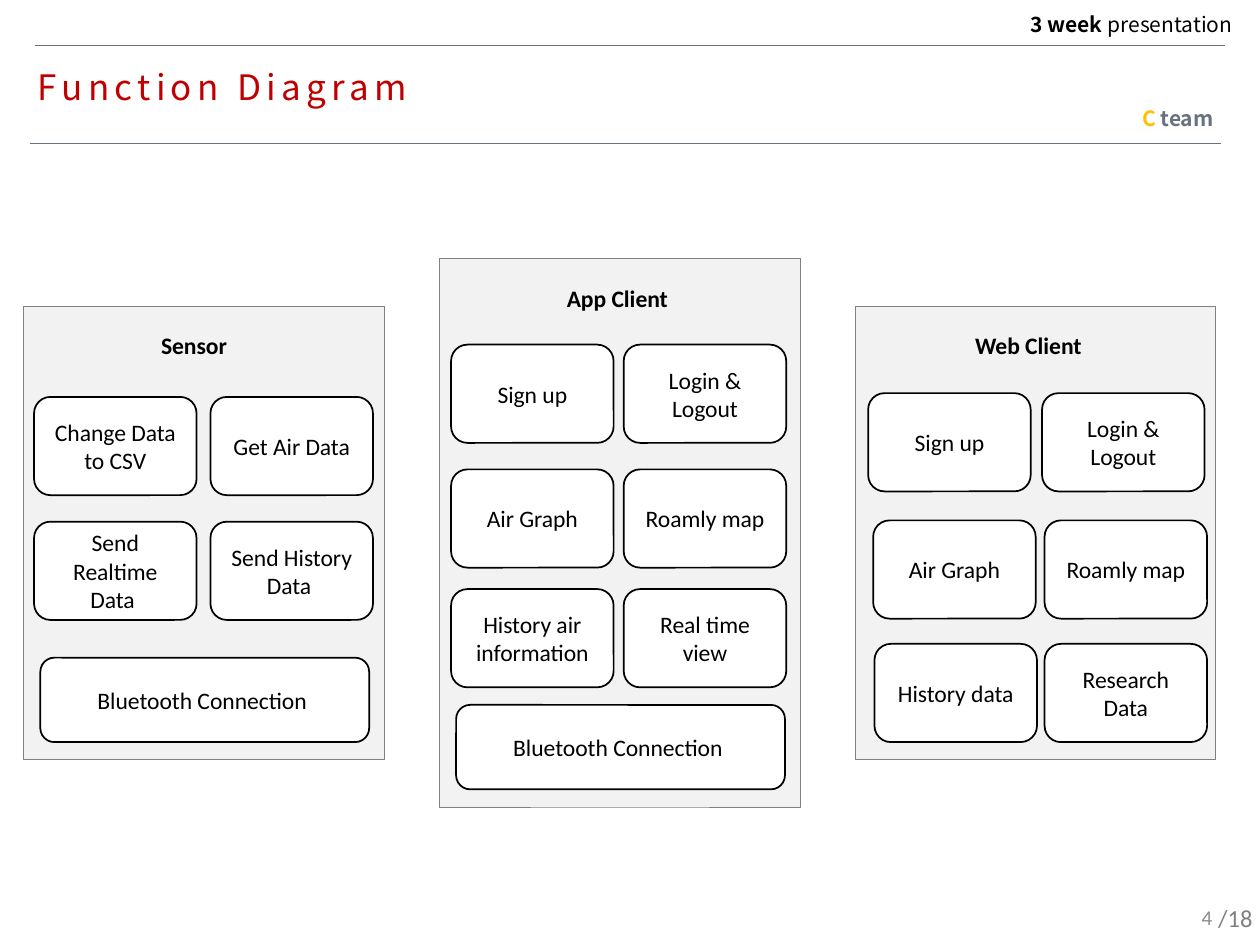
from pptx import Presentation
from pptx.dml.color import RGBColor
from pptx.enum.shapes import MSO_CONNECTOR, MSO_SHAPE
from pptx.enum.text import MSO_ANCHOR, PP_ALIGN
from pptx.oxml.ns import qn
from pptx.util import Inches, Pt
from lxml.etree import SubElement

BLACK = RGBColor(0x00, 0x00, 0x00)
WHITE = RGBColor(0xFF, 0xFF, 0xFF)
PALE = RGBColor(0xF2, 0xF2, 0xF2)
GRAY = RGBColor(0x80, 0x80, 0x80)
MIST = RGBColor(0x8C, 0x8C, 0x8C)
SLATE = RGBColor(0x68, 0x72, 0x7E)
GOLD = RGBColor(0xFF, 0xC0, 0x00)
RED = RGBColor(0xC0, 0x00, 0x00)

BODY = "Calibri"
HEAD = "Noto Sans CJK KR"

# Three panel columns, centred on one row
FIRST, PITCH, MIDDLE = 0.19, 3.3, 4.23
PANEL_W = 2.86
CELL_W, CELL_H = 1.29, 0.78
BAR_W, BAR_H, BAR_GAP = 2.61, 0.67, 0.14

# Each row: left and top within the panel, column step, labels
PANELS = [
    ("Sensor", 3.6, 0.99, [
        (0.08, 0.72, 1.4, ["Change Data to CSV", "Get Air Data"]),
        (0.08, 1.71, 1.4, ["Send Realtime Data ", "Send History Data "]),
    ], "Bluetooth Connection "),
    ("App Client", 4.35, 0.91, [
        (0.09, 0.68, 1.37, ["Sign up", "Login & Logout"]),
        (0.09, 1.67, 1.37, ["Air Graph", "Roamly map"]),
        (0.09, 2.62, 1.37, ["History air information", "Real time view"]),
    ], "Bluetooth Connection "),
    ("Web Client", 3.6, 0.85, [
        (0.1, 0.69, 1.38, ["Sign up", "Login & Logout"]),
        (0.14, 1.7, 1.36, ["Air Graph", "Roamly map"]),
        (0.15, 2.68, 1.35, ["History data", "Research Data"]),
    ], None),
]


def style(run, size, color, font=BODY, bold=False):
    run.font.size = Pt(size)
    run.font.name = font
    run.font.bold = bold
    run.font.color.rgb = color
    if font == HEAD:
        east = SubElement(run.font._element, qn("a:ea"))
        east.set("typeface", font)


def add_text(slide, box, parts, align=PP_ALIGN.LEFT, space=None):
    """Add one line; each part is (text, size, colour, font, bold)."""
    frame = slide.shapes.add_textbox(*map(Inches, box)).text_frame
    frame.word_wrap = True
    line = frame.paragraphs[0]
    line.alignment = align
    line.line_spacing = space
    for text, *look in parts:
        run = line.add_run()
        run.text = text
        style(run, *look)
    return frame


def add_title(slide, text):
    title = slide.shapes.title
    title.left, title.top, title.width, title.height = map(
        Inches, (0.2, 0.51, 7.72, 0.4))
    frame = title.text_frame
    frame.text = text
    frame.vertical_anchor = MSO_ANCHOR.TOP
    line = frame.paragraphs[0]
    line.alignment = PP_ALIGN.LEFT
    line.line_spacing = 0.9
    run = line.runs[0]
    style(run, 20, RED, HEAD)
    run.font._element.set("spc", "300")


def add_rule(slide, left, right, top):
    rule = slide.shapes.add_connector(
        MSO_CONNECTOR.STRAIGHT, *map(Inches, (left, top, right, top)))
    rule.line.color.rgb = SLATE
    rule.line.width = Pt(0.25)
    SubElement(rule._element.spPr, qn("a:effectLst"))


def add_box(slide, kind, box, fill, edge, width):
    shape = slide.shapes.add_shape(kind, *map(Inches, box))
    shape.shadow.inherit = False
    shape.fill.solid()
    shape.fill.fore_color.rgb = fill
    shape.line.color.rgb = edge
    shape.line.width = Pt(width)
    return shape


def add_cell(slide, box, text):
    shape = add_box(slide, MSO_SHAPE.ROUNDED_RECTANGLE, box, WHITE, BLACK, 1)
    frame = shape.text_frame
    frame.text = text
    frame.word_wrap = True
    frame.vertical_anchor = MSO_ANCHOR.MIDDLE
    line = frame.paragraphs[0]
    line.alignment = PP_ALIGN.CENTER
    style(line.runs[0], 13.5, BLACK)


def add_panel(slide, col, name, high, indent, rows, bar):
    left = FIRST + col * PITCH
    top = MIDDLE - high / 2
    add_box(slide, MSO_SHAPE.RECTANGLE, (left, top, PANEL_W, high),
            PALE, GRAY, 0.5)
    add_text(slide, (left + indent, top + 0.15, 1.57, 0.33),
             [(name, 13.5, BLACK, BODY, True)])
    for dx, dy, step, names in rows:
        for i, text in enumerate(names):
            add_cell(slide, (left + dx + i * step, top + dy, CELL_W, CELL_H),
                     text)
    if bar:
        add_cell(slide, (left + 0.13, top + high - BAR_GAP - BAR_H,
                         BAR_W, BAR_H), bar)


def add_frame(slide):
    """Add the header rules, the header notes and the page count."""
    add_rule(slide, 0.24, 9.69, 1.14)
    add_rule(slide, 0.28, 9.72, 0.36)
    add_text(slide, (7.68, 0.83, 2.05, 0.26),
             [("C", 12, GOLD, HEAD, True), (" team", 12, SLATE, HEAD, True)],
             PP_ALIGN.RIGHT, 0.8)
    add_text(slide, (7.83, 0.08, 2.05, 0.26),
             [("3 week ", 12, BLACK, HEAD, True),
              ("presentation", 12, BLACK, HEAD)],
             PP_ALIGN.RIGHT, 0.8)
    page = add_text(slide, (7.47, 7.08, 2.25, 0.4), [("4", 12, MIST)],
                    PP_ALIGN.RIGHT)
    page.vertical_anchor = MSO_ANCHOR.MIDDLE
    add_text(slide, (9.57, 7.12, 0.52, 0.34), [("/18", 14, GRAY)])


def main():
    deck = Presentation()
    deck.slide_width, deck.slide_height = Inches(10), Inches(7.5)
    slide = deck.slides.add_slide(deck.slide_layouts[5])
    add_frame(slide)
    add_title(slide, "Function Diagram")
    for col, panel in enumerate(PANELS):
        add_panel(slide, col, *panel)
    deck.save("out.pptx")


if __name__ == "__main__":
    main()
